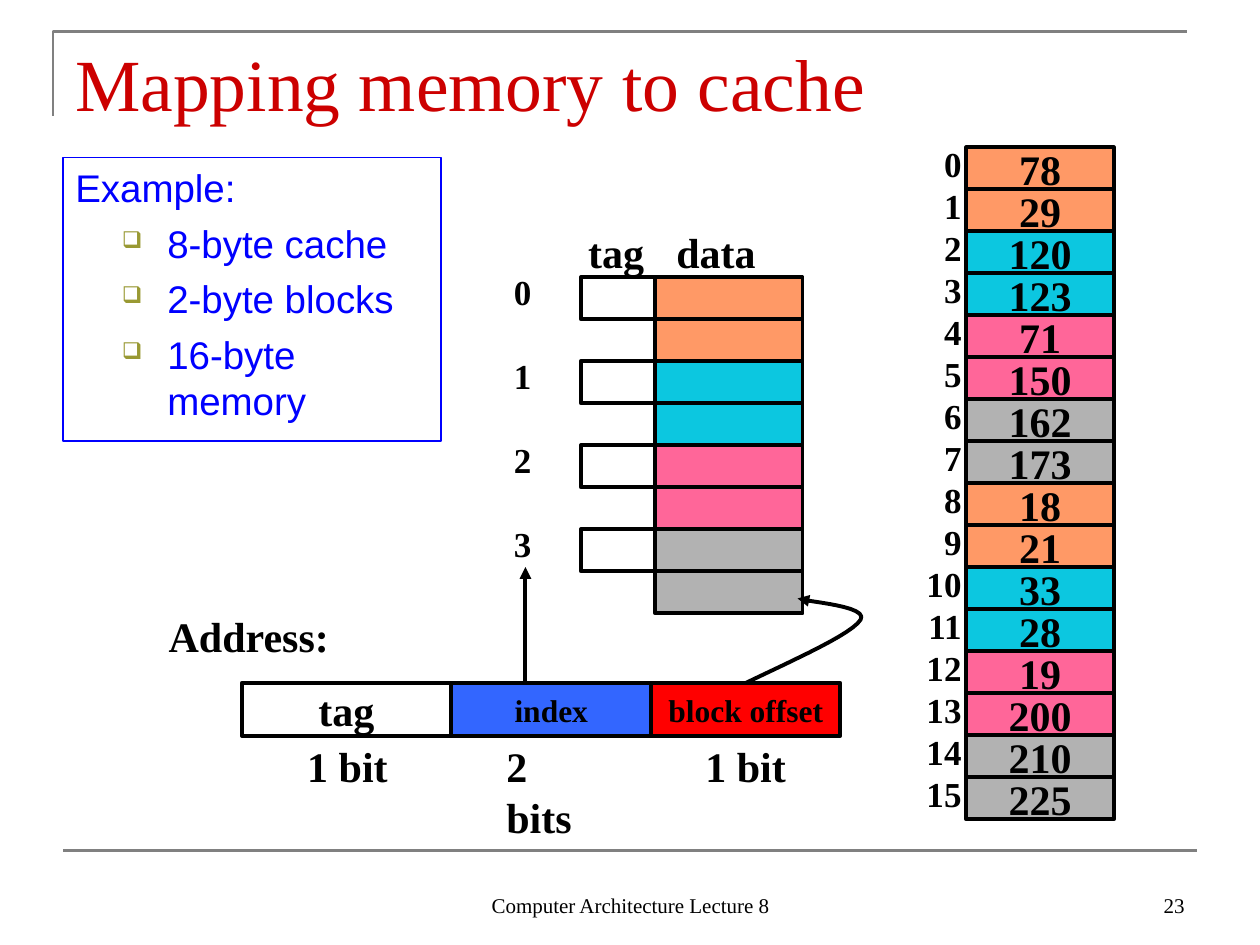
from typing import NamedTuple

from lxml import etree
from pptx import Presentation
from pptx.dml.color import RGBColor
from pptx.enum.shapes import MSO_CONNECTOR, MSO_SHAPE
from pptx.enum.text import MSO_ANCHOR, PP_ALIGN
from pptx.oxml.ns import qn
from pptx.util import Inches, Pt

COLORS = {
    "black": "000000", "white": "FFFFFF", "rule": "808080", "title": "CC0000",
    "example": "0000FF", "bullet": "999933", "index": "3366FF", "offset": "FF0000",
}
BLOCK_COLORS = ["FF9966", "0CC7E0", "FF6699", "B2B2B2"]
SERIF, SANS = "Times New Roman", "Arial"
LINE_HEIGHT = 1.2
BLOCK_BYTES = 2
ROW = 1 / 3


class Box(NamedTuple):
    left: float
    top: float
    width: float
    height: float


class Style(NamedTuple):
    size: float
    bold: bool = True
    color: str = COLORS["black"]
    font: str = SERIF
    align: PP_ALIGN = PP_ALIGN.LEFT


class Field(NamedTuple):
    name: str
    left: float
    width: float
    fill: str
    size: float
    bits: str
    bits_left: float


class Point(NamedTuple):
    x: float
    y: float


LABEL = Style(24)
CENTERED = Style(24, align=PP_ALIGN.CENTER)
MEMORY = [78, 29, 120, 123, 71, 150, 162, 173, 18, 21, 33, 28, 19, 200, 210, 225]
FIELDS = [
    Field("tag", 1.92, 1.66, COLORS["white"], 24, "1 bit", 2.34),
    Field("index", 3.58, 1.59, COLORS["index"], 18, "2 bits", 3.92),
    Field("block offset", 5.17, 1.5, COLORS["offset"], 18, "1 bit", 5.5),
]

prs = Presentation()
prs.slide_width, prs.slide_height = Inches(10), Inches(7.5)
slide = prs.slides.add_slide(prs.slide_layouts[6])
shapes = slide.shapes


def write(frame, lines: list[str], style: Style, gap: float = 0) -> None:
    """Fill a text frame with one paragraph per line, gap points apart."""
    for number, line in enumerate(lines):
        paragraph = frame.add_paragraph() if number else frame.paragraphs[0]
        paragraph.alignment = style.align
        paragraph.line_spacing = Pt(LINE_HEIGHT * style.size)
        paragraph.space_before = Pt(gap if number else 0)
        run = paragraph.add_run()
        run.text = line
        run.font.name, run.font.size, run.font.bold = style.font, Pt(style.size), style.bold
        run.font.color.rgb = RGBColor.from_string(style.color)


def add_text(box: Box, lines: list[str], style: Style, gap: float = 0,
             anchor=MSO_ANCHOR.TOP, wrap: bool = False):
    frame = shapes.add_textbox(*map(Inches, box)).text_frame
    frame.word_wrap = wrap
    frame.vertical_anchor = anchor
    write(frame, lines, style, gap)
    return frame


def set_line(shape, color: str, width: float) -> None:
    shape.line.color.rgb = RGBColor.from_string(color)
    shape.line.width = Pt(width)


def add_arrowhead(shape) -> None:
    outline = shape._element.spPr.find(qn("a:ln"))
    etree.SubElement(outline, qn("a:tailEnd"), type="triangle")


def add_cell(box: Box, fill: str, text: str = "", style: Style = CENTERED) -> None:
    cell = shapes.add_shape(MSO_SHAPE.RECTANGLE, *map(Inches, box))
    cell.shadow.inherit = False
    cell.fill.solid()
    cell.fill.fore_color.rgb = RGBColor.from_string(fill)
    set_line(cell, COLORS["black"], 2.25)
    if text:
        cell.text_frame.word_wrap = False
        cell.text_frame.vertical_anchor = MSO_ANCHOR.MIDDLE
        write(cell.text_frame, [text], style)


def add_line(start: Point, end: Point, color: str, width: float):
    line = shapes.add_connector(MSO_CONNECTOR.STRAIGHT, *map(Inches, (*start, *end)))
    set_line(line, color, width)
    etree.SubElement(line._element.spPr, qn("a:effectLst"))
    return line


def add_outline(points: list[Point], color: str, width: float):
    first, *rest = [(Inches(p.x), Inches(p.y)) for p in points]
    builder = shapes.build_freeform(*first)
    builder.add_line_segments(rest, close=False)
    outline = builder.convert_to_shape()
    outline.shadow.inherit = False
    outline.fill.background()
    set_line(outline, color, width)
    return outline


def bezier(a: Point, b: Point, c: Point, d: Point, steps: int = 12) -> list[Point]:
    """Points along a cubic curve, without its start."""
    def blend(t: float, values) -> float:
        weights = ((1 - t) ** 3, 3 * t * (1 - t) ** 2, 3 * t * t * (1 - t), t ** 3)
        return sum(w * v for w, v in zip(weights, values))

    controls = list(zip(a, b, c, d))
    return [Point(*(blend(i / steps, axis) for axis in controls))
            for i in range(1, steps + 1)]


# Frame rules, title and footer
add_outline([Point(0.42, 0.92), Point(0.42, 0.25), Point(9.42, 0.25)], COLORS["rule"], 1.5)
add_line(Point(0.5, 6.75), Point(9.5, 6.75), COLORS["rule"], 1.5)
add_text(Box(0.5, 0.25, 9, 0.75), ["Mapping memory to cache"],
         Style(42, False, COLORS["title"]), wrap=True)
add_text(Box(3.42, 6.83, 3.17, 0.5), ["Computer Architecture Lecture 8"],
         Style(12, False, align=PP_ALIGN.CENTER), anchor=MSO_ANCHOR.BOTTOM, wrap=True)
add_text(Box(7.17, 6.83, 2.33, 0.5), ["23"],
         Style(12, False, align=PP_ALIGN.RIGHT), anchor=MSO_ANCHOR.BOTTOM, wrap=True)

# Example box
example = shapes.add_textbox(*map(Inches, Box(0.5, 1.25, 3, 2.25)))
set_line(example, COLORS["example"], 0.75)
example.text_frame.word_wrap = True
write(example.text_frame, ["Example:", "8-byte cache", "2-byte blocks", "16-byte memory"],
      Style(22, False, COLORS["example"], SANS), gap=5.5)
for item in example.text_frame.paragraphs[1:]:
    properties = item._p.get_or_add_pPr()
    properties.set("marL", str(Inches(0.73)))
    properties.set("indent", str(Inches(-0.36)))
    bullet_color = etree.SubElement(properties, qn("a:buClr"))
    etree.SubElement(bullet_color, qn("a:srgbClr"), val=COLORS["bullet"])
    etree.SubElement(properties, qn("a:buSzPct"), val="60000")
    etree.SubElement(properties, qn("a:buChar"), char="❑")

# Memory with byte addresses
for address, value in enumerate(MEMORY):
    block = address // BLOCK_BYTES
    add_cell(Box(7.67, 1.17 + address * ROW, 1.17, ROW),
             BLOCK_COLORS[block % len(BLOCK_COLORS)], str(value))
add_text(Box(7.25, 1.08, 0.48, 5.44), [str(n) for n in range(len(MEMORY))],
         Style(20, align=PP_ALIGN.RIGHT))

# Cache: one tag and two data bytes for each index
for index, color in enumerate(BLOCK_COLORS):
    top = 2.2 + index * BLOCK_BYTES * ROW
    add_cell(Box(4.61, top, 0.59, ROW), COLORS["white"])
    for byte in range(BLOCK_BYTES):
        add_cell(Box(5.2, top + byte * ROW, 1.17, ROW), color)
add_text(Box(4.57, 1.75, 0.65, 0.5), ["tag"], LABEL)
add_text(Box(5.27, 1.75, 0.83, 0.5), ["data"], LABEL)
add_text(Box(3.98, 2.1, 0.34, 2.44), [str(n) for n in range(len(BLOCK_COLORS))],
         Style(20), gap=24)

# Address fields
add_text(Box(1.24, 4.8, 1.48, 0.5), ["Address:"], LABEL)
for field in FIELDS:
    add_cell(Box(field.left, 5.42, field.width, 0.42), field.fill, field.name,
             CENTERED._replace(size=field.size))
    add_text(Box(field.bits_left, 5.83, 0.9, 0.5), [field.bits], LABEL)

# Arrows from the address fields into the cache
index_arrow = add_line(Point(4.17, 5.42), Point(4.17, 4.5), COLORS["black"], 2.25)
add_arrowhead(index_arrow)
offset_start, bend, byte_end = Point(5.92, 5.42), Point(6.83, 4.92), Point(6.33, 4.75)
offset_arrow = add_outline(
    [offset_start,
     *bezier(offset_start, Point(6.34, 5.22), Point(6.76, 5.03), bend),
     *bezier(bend, Point(6.9, 4.81), Point(6.42, 4.78), byte_end)],
    COLORS["black"], 2.25)
add_arrowhead(offset_arrow)

prs.save("out.pptx")
